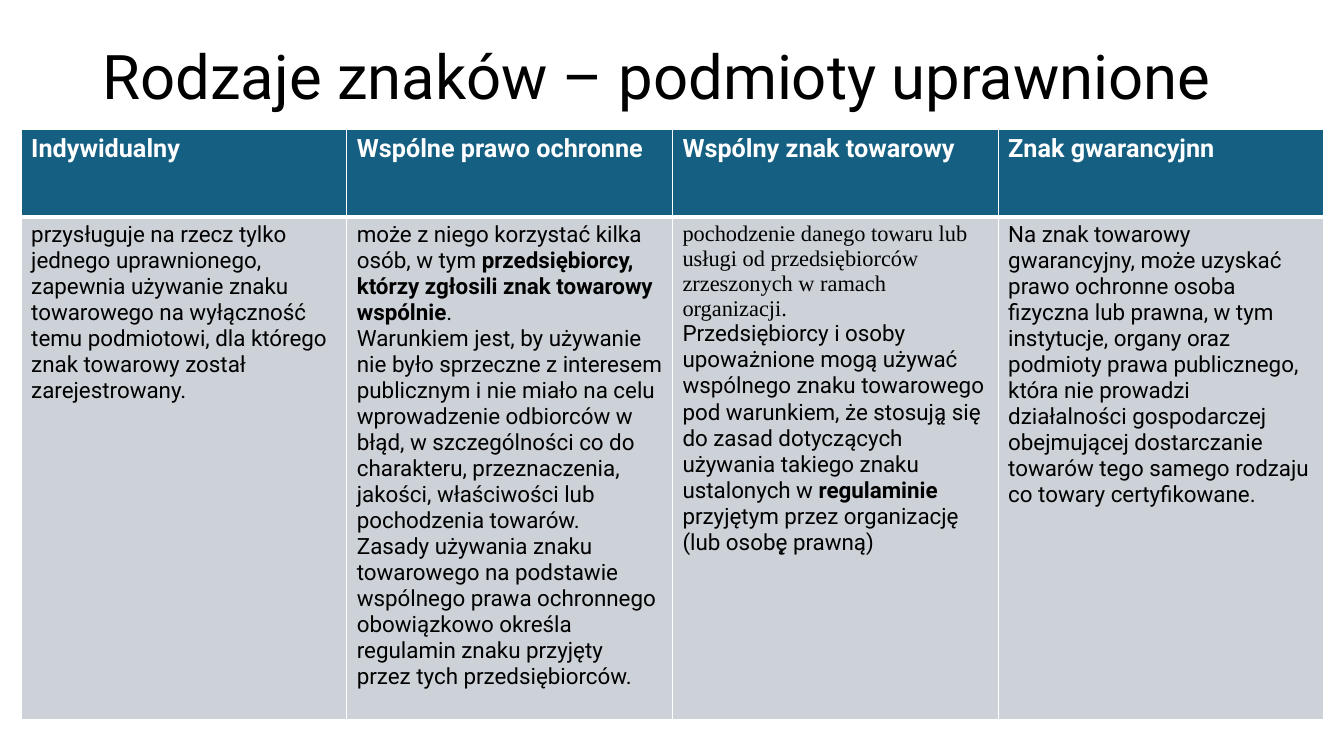
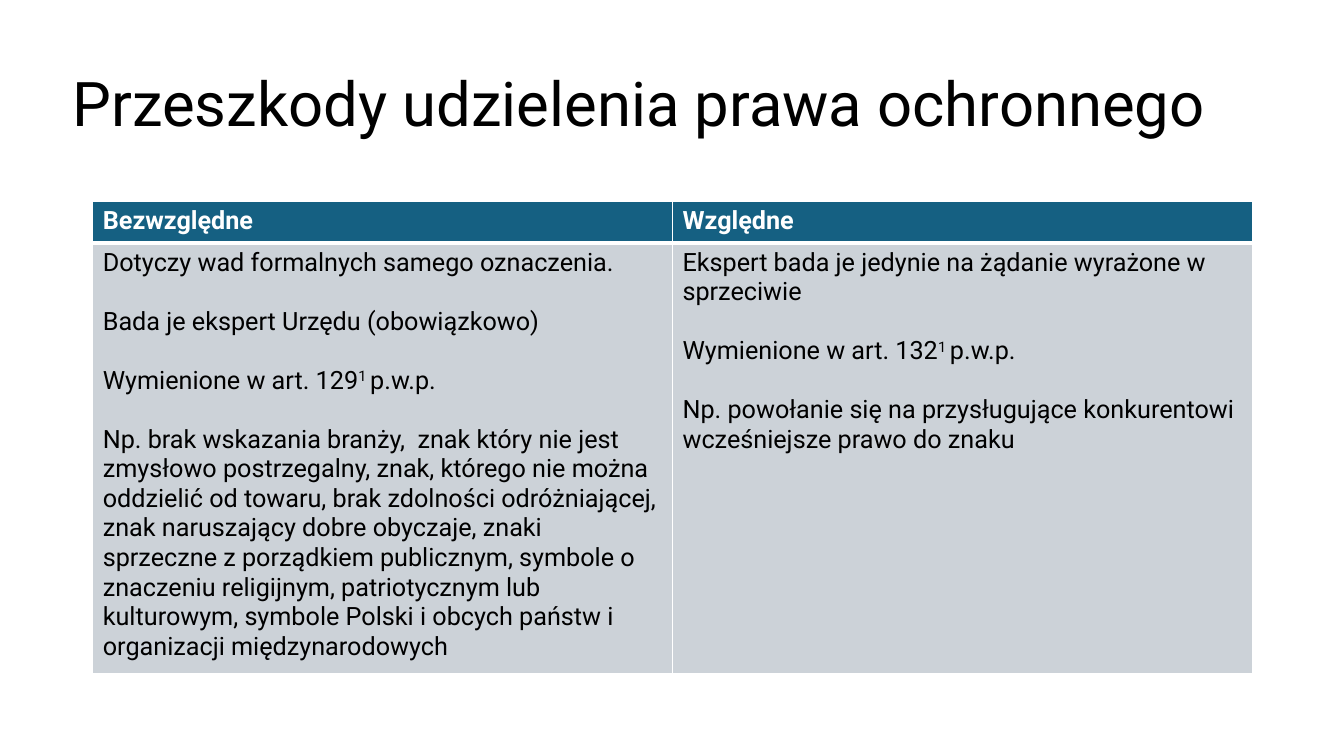
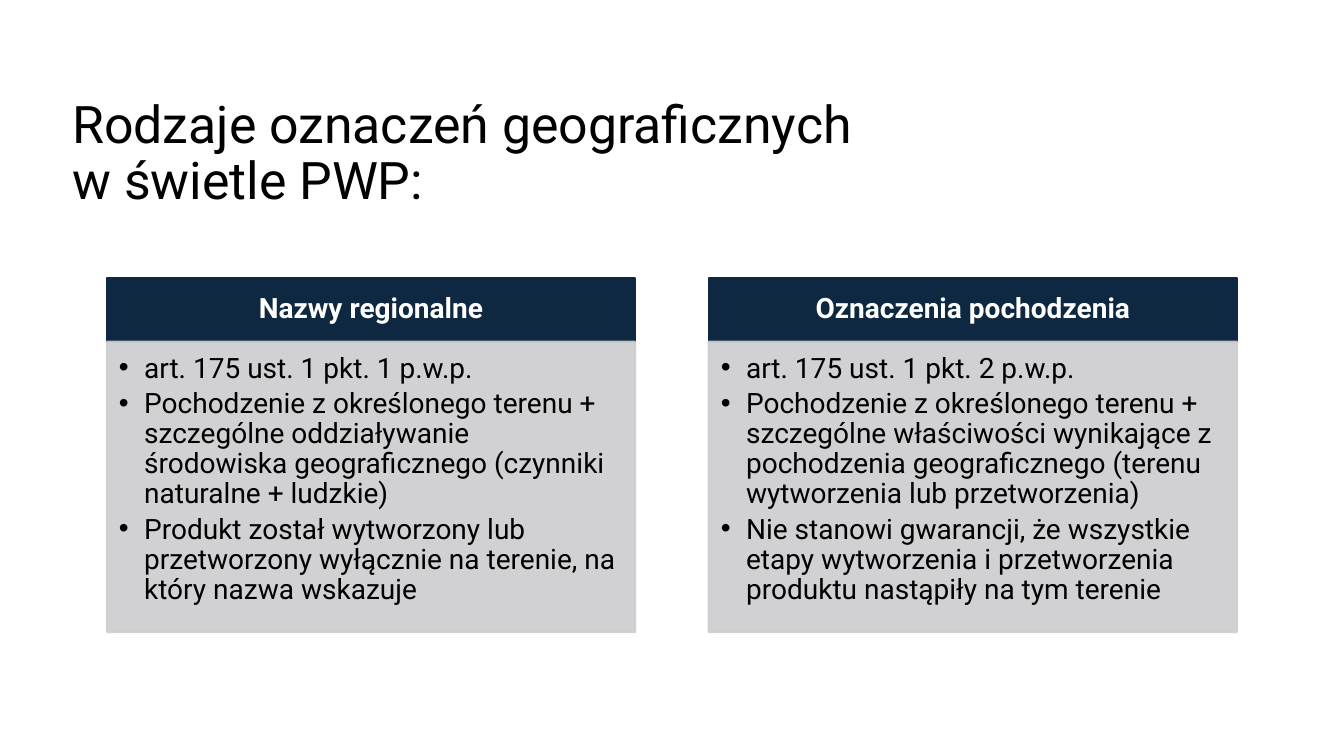
from lxml import etree
from pptx import Presentation
from pptx.dml.color import RGBColor
from pptx.enum.shapes import MSO_SHAPE
from pptx.enum.text import MSO_ANCHOR, PP_ALIGN
from pptx.oxml.ns import qn
from pptx.util import Inches, Pt

RECTANGLE = MSO_SHAPE.RECTANGLE
MIDDLE, TOP = MSO_ANCHOR.MIDDLE, MSO_ANCHOR.TOP
LEFT, CENTER = PP_ALIGN.LEFT, PP_ALIGN.CENTER

BLACK = RGBColor(0x00, 0x00, 0x00)
WHITE = RGBColor(0xFF, 0xFF, 0xFF)
TEAL = RGBColor(0x15, 0x60, 0x82)
PALE = RGBColor(0xCC, 0xD2, 0xD8)
NAVY = RGBColor(0x0E, 0x28, 0x41)
GREY = RGBColor(0xCC, 0xCD, 0xCF)

FONT, SERIF = "Roboto", "Times New Roman"
BOLD, SUPER, SERIF_RUN = "bold", "super", "serif"

OWNER_COLUMNS = [
    ("Indywidualny", [
        ["przysługuje na rzecz tylko jednego uprawnionego,"],
        ["zapewnia używanie znaku towarowego na wyłączność temu podmiotowi, "
         "dla którego znak towarowy został zarejestrowany."],
    ]),
    ("Wspólne prawo ochronne", [
        ["może z niego korzystać kilka osób, w tym ",
         ("przedsiębiorcy, którzy zgłosili znak towarowy wspólnie", BOLD), "."],
        ["Warunkiem jest, by używanie nie było sprzeczne z interesem publicznym "
         "i nie miało na celu wprowadzenie odbiorców w błąd, w szczególności co do "
         "charakteru, przeznaczenia, jakości, właściwości lub pochodzenia towarów."],
        ["Zasady używania znaku towarowego na podstawie wspólnego prawa ochronnego "
         "obowiązkowo określa regulamin znaku przyjęty przez tych przedsiębiorców."],
    ]),
    ("Wspólny znak towarowy", [
        [("pochodzenie danego towaru lub usługi od przedsiębiorców zrzeszonych "
          "w ramach organizacji.", SERIF_RUN)],
        ["Przedsiębiorcy i osoby upoważnione mogą używać wspólnego znaku towarowego "
         "pod warunkiem, że stosują̨ się do zasad dotyczących używania takiego znaku "
         "ustalonych w ", ("regulaminie", BOLD),
         " przyjętym przez organizację (lub osobę̨ prawną)"],
    ]),
    ("Znak gwarancyjnn", [
        ["Na znak towarowy gwarancyjny, może uzyskać prawo ochronne osoba fizyczna "
         "lub prawna, w tym instytucje, organy oraz podmioty prawa publicznego, która "
         "nie prowadzi działalności gospodarczej obejmującej dostarczanie towarów tego "
         "samego rodzaju co towary certyfikowane."],
    ]),
]

OBSTACLE_COLUMNS = [
    ("Bezwzględne", [
        ["Dotyczy wad formalnych samego oznaczenia."],
        ["Bada je ekspert Urzędu (obowiązkowo)"],
        ["Wymienione w art. 129", ("1 ", SUPER), "p.w.p."],
        ["Np. brak wskazania branży,  znak który nie jest zmysłowo postrzegalny, znak, "
         "którego nie można oddzielić od towaru, brak zdolności odróżniającej, znak "
         "naruszający dobre obyczaje, znaki sprzeczne z porządkiem publicznym, symbole "
         "o znaczeniu religijnym, patriotycznym lub kulturowym, symbole Polski i obcych "
         "państw i organizacji międzynarodowych"],
    ]),
    ("Względne", [
        ["Ekspert bada je jedynie na żądanie wyrażone w sprzeciwie"],
        ["Wymienione w art. 132", ("1 ", SUPER), "p.w.p."],
        ["Np. powołanie się na przysługujące konkurentowi wcześniejsze prawo do znaku"],
    ]),
]

GEOGRAPHIC_CARDS = [
    ("Nazwy regionalne", [
        ["art. 175 ust. 1 pkt. 1 p.w.p."],
        ["Pochodzenie z określonego terenu + szczególne oddziaływanie środowiska "
         "geograficznego (czynniki naturalne + ludzkie)"],
        ["Produkt został wytworzony lub przetworzony wyłącznie na terenie, na który "
         "nazwa wskazuje"],
    ]),
    ("Oznaczenia pochodzenia", [
        ["art. 175 ust. 1 pkt. 2 p.w.p."],
        ["Pochodzenie z określonego terenu + szczególne właściwości wynikające z "
         "pochodzenia geograficznego (terenu wytworzenia lub przetworzenia)"],
        ["Nie stanowi gwarancji, że wszystkie etapy wytworzenia i przetworzenia "
         "produktu nastąpiły na tym terenie"],
    ]),
]


def add_run(para, text, size, color, style=None):
    """Add one run of text in the given size, colour and style."""
    span = para.add_run()
    span.text = text
    span.font.size = Pt(size)
    span.font.name = SERIF if style == SERIF_RUN else FONT
    span.font.color.rgb = color
    span.font.bold = style == BOLD
    if style == SUPER:
        span.font._element.set("baseline", "30000")


def add_bullet(para):
    """Give a paragraph a round bullet with a hanging indent."""
    props = para._p.get_or_add_pPr()
    props.set("marL", str(Inches(0.25)))
    props.set("indent", str(Inches(-0.25)))
    etree.SubElement(props, qn("a:buFont"), typeface="Arial")
    etree.SubElement(props, qn("a:buChar"), char="•")


def write(frame, paragraphs, size, color, align=LEFT, line=None, before=0, after=0,
          bullets=False):
    """Fill a text frame with paragraphs, each a list of runs."""
    frame.word_wrap = True
    for index, runs in enumerate(paragraphs):
        para = frame.add_paragraph() if index else frame.paragraphs[0]
        if bullets:
            add_bullet(para)
        para.alignment = align
        if line:
            para.line_spacing = line
        if before and index:
            para.space_before = Pt(before)
        if after:
            para.space_after = Pt(after)
        for run in runs:
            text, style = (run, None) if isinstance(run, str) else run
            add_run(para, text, size, color, style)


def add_page(deck, title, box, size=44):
    """Add a white page with its title in the given box."""
    page = deck.slides.add_slide(deck.slide_layouts[6])
    page.background.fill.solid()
    page.background.fill.fore_color.rgb = WHITE
    frame = page.shapes.add_textbox(*map(Inches, box)).text_frame
    frame.vertical_anchor = MIDDLE
    write(frame, [[title]], size, BLACK, line=0.9)
    return page


def set_borders(cell, widths):
    """Draw white borders on the named sides of a cell."""
    props = cell._tc.get_or_add_tcPr()
    for side, width in widths.items():
        edge = etree.SubElement(props, qn("a:ln" + side), w=str(Pt(width)))
        paint = etree.SubElement(edge, qn("a:solidFill"))
        etree.SubElement(paint, qn("a:srgbClr"), val=str(WHITE))


def fill_cell(cell, paragraphs, size, ink, paint, borders, before=0):
    """Paint, frame and write one table cell."""
    set_borders(cell, borders)
    cell.fill.solid()
    cell.fill.fore_color.rgb = paint
    write(cell.text_frame, paragraphs, size, ink, before=before)


def add_columns_table(page, columns, left, top, width, heights, size, before=0):
    """Place a table with one header and one body cell per column."""
    box = map(Inches, (left, top, width, sum(heights)))
    table = page.shapes.add_table(2, len(columns), *box).table
    table.horz_banding = False
    for row, height in zip(table.rows, heights):
        row.height = Inches(height)
    for index, (header, body) in enumerate(columns):
        table.columns[index].width = Inches(width / len(columns))
        fill_cell(table.cell(0, index), [[(header, BOLD)]], 18, WHITE, TEAL,
                  {"L": 1, "R": 1, "T": 1, "B": 3})
        fill_cell(table.cell(1, index), body, size, BLACK, PALE,
                  {"L": 1, "R": 1, "T": 3, "B": 1}, before)


def add_panel(page, box, color, insets, anchor, opacity=100):
    """Add a rectangle and return its text frame."""
    panel = page.shapes.add_shape(RECTANGLE, *map(Inches, box))
    panel.shadow.inherit = False
    panel.fill.solid()
    panel.fill.fore_color.rgb = color
    panel.line.color.rgb = color
    panel.line.width = Pt(1.5)
    if opacity < 100:
        for paint in panel._element.spPr.iter(qn("a:srgbClr")):
            etree.SubElement(paint, qn("a:alpha"), val=str(opacity * 1000))
    frame = panel.text_frame
    frame.vertical_anchor = anchor
    (frame.margin_left, frame.margin_top,
     frame.margin_right, frame.margin_bottom) = map(Inches, insets)
    return frame


def add_card(page, left, top, width, header, points):
    """Place a header band with a bulleted panel below it."""
    band = 0.63
    head = add_panel(page, (left, top, width, band), NAVY, (0.16, 0.09, 0.16, 0.09), MIDDLE)
    write(head, [[(header, BOLD)]], 20, WHITE, align=CENTER, line=0.9)
    body = add_panel(page, (left, top + band, width, 2.88), GREY,
                     (0.12, 0.12, 0.16, 0.17), TOP, opacity=90)
    write(body, points, 20, BLACK, line=0.9, after=3.5, bullets=True)


def build_owners(deck):
    """Build the page on who may hold each kind of mark."""
    page = add_page(deck, "Rodzaje znaków – podmioty uprawnione", (0.92, 0.06, 11.5, 1.45))
    add_columns_table(page, OWNER_COLUMNS, 0.21, 1.28, 12.92, (0.87, 4.99), 16)


def build_obstacles(deck):
    """Build the page on obstacles to protection."""
    page = add_page(deck, "Przeszkody udzielenia prawa ochronnego",
                    (0.62, 0.36, 11.58, 1.39))
    add_columns_table(page, OBSTACLE_COLUMNS, 0.92, 2, 11.5, (0.41, 4.2), 18, before=21)


def build_geographic(deck):
    """Build the page on kinds of geographical indications."""
    page = add_page(deck, "Rodzaje oznaczeń geograficznych w świetle PWP:",
                    (0.62, 0.84, 8.02, 1.39), size=37)
    for index, (header, points) in enumerate(GEOGRAPHIC_CARDS):
        add_card(page, 1.06 + index * 5.97, 2.76, 5.24, header, points)


def main():
    """Build and save the deck."""
    deck = Presentation()
    deck.slide_width, deck.slide_height = Inches(13.33), Inches(7.5)
    build_owners(deck)
    build_obstacles(deck)
    build_geographic(deck)
    deck.save("out.pptx")


if __name__ == "__main__":
    main()
